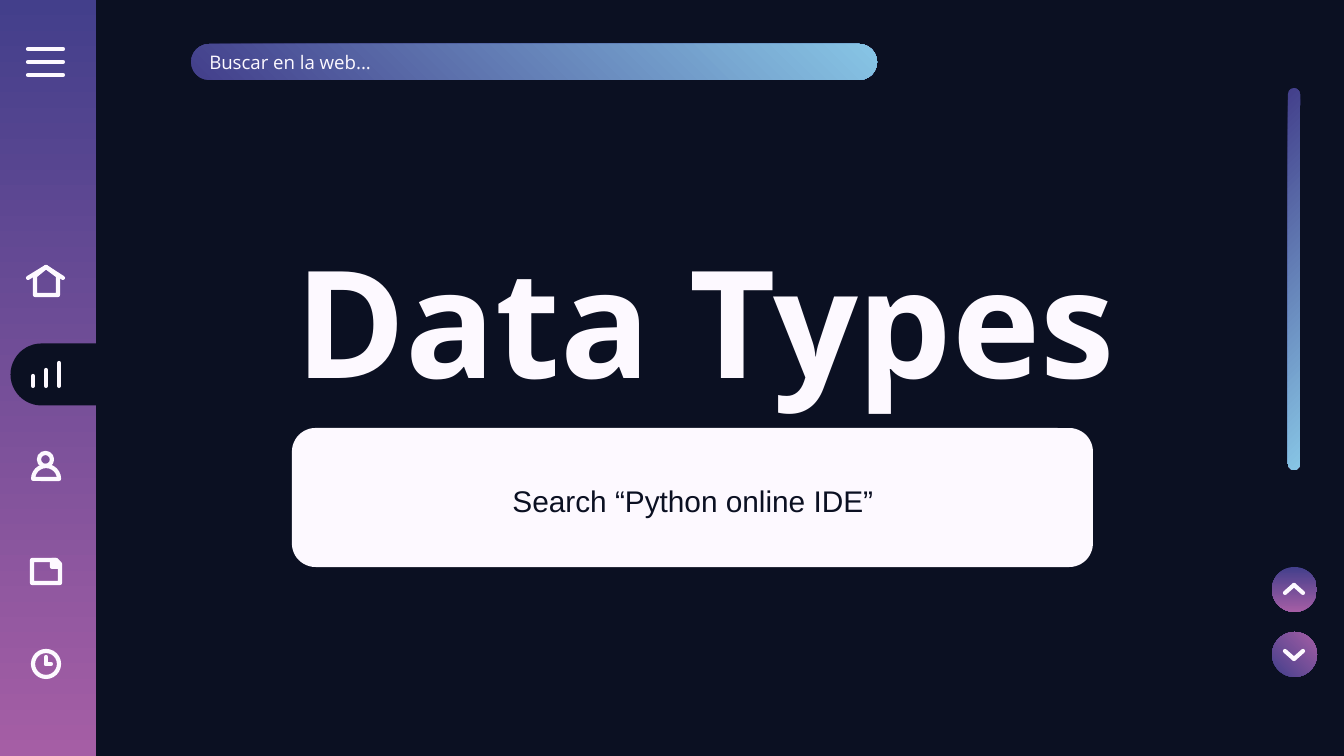
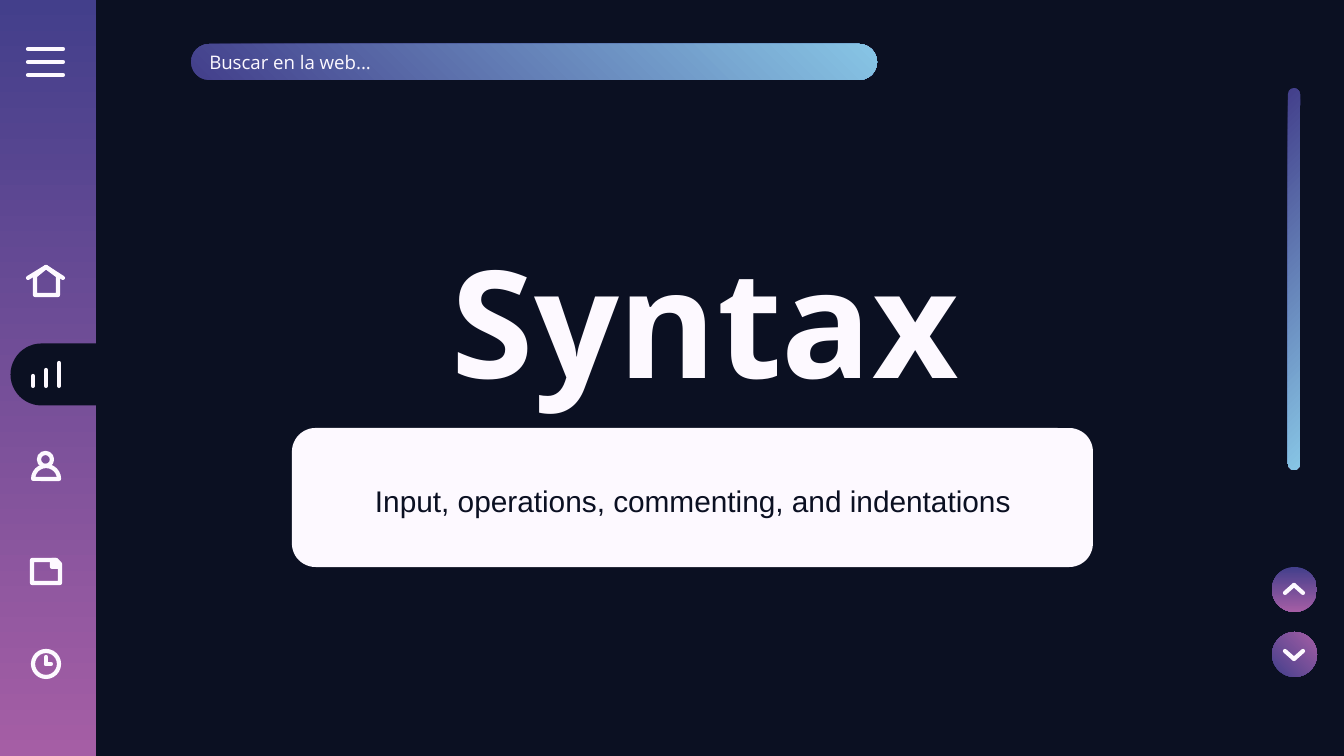
import pptx
import pptx.util
import pptx.dml.color
import pptx.enum.shapes
import pptx.enum.text
import pptx.oxml.ns
from lxml import etree

RGB = pptx.dml.color.RGBColor
KIND = pptx.enum.shapes.MSO_SHAPE
ALIGN = pptx.enum.text.PP_ALIGN

NIGHT = RGB(0x0B, 0x10, 0x22)
WHITE = RGB(0xFD, 0xF9, 0xFF)
INDIGO = RGB(0x43, 0x3F, 0x8B)
PURPLE = RGB(0xA5, 0x5E, 0xA5)
SKY = RGB(0x87, 0xC5, 0xE5)

UNIT = 914400 / 134.4  # EMU in one px
WIDE, HIGH = 1344, 756
INSET = 13
MID = 46  # centre of the sidebar icons

PAGES = [
    ("Data Types", "Search “Python online IDE”"),
    ("Syntax", "Input, operations, commenting, and indentations"),
]


def px(num):
    return pptx.util.Emu(round(num * UNIT))


# Fills and strokes
def tint(fill, color):
    """Fill with one colour, with (start, end, angle), or with nothing."""
    if color is None:
        fill.background()
    elif isinstance(color, RGB):
        fill.solid()
        fill.fore_color.rgb = color
    else:
        start, end, angle = color
        fill.gradient()
        fill.gradient_angle = angle
        for stop, shade in zip(fill.gradient_stops, (start, end)):
            stop.color.rgb = shade


def stroke(item):
    """Give an icon part its white line with round ends and corners."""
    item.line.width = pptx.util.Pt(2.25)
    item.line.fill.solid()
    item.line.fill.fore_color.rgb = WHITE
    ln = item._element.spPr.find(pptx.oxml.ns.qn("a:ln"))
    ln.set("cap", "rnd")
    etree.SubElement(ln, pptx.oxml.ns.qn("a:round"))


# Elements
def finish(item, fill, lined):
    item.shadow.inherit = False
    tint(item.fill, fill)
    if lined:
        stroke(item)
    else:
        item.line.fill.background()
    return item


def shape(shapes, kind, box, fill=None, lined=False, adj=(), turn=0):
    item = shapes.add_shape(kind, *map(px, box))
    for num, value in enumerate(adj):
        item.adjustments[num] = value
    item.rotation = turn
    return finish(item, fill, lined)


def outline(shapes, points, fill=None):
    pen = shapes.build_freeform(*points[0], scale=UNIT)
    pen.add_line_segments(points[1:], close=True)
    return finish(pen.convert_to_shape(), fill, True)


def line(shapes, start, end):
    item = shapes.add_connector(
        pptx.enum.shapes.MSO_CONNECTOR.STRAIGHT, *map(px, start + end))
    stroke(item)
    etree.SubElement(item._element.spPr, pptx.oxml.ns.qn("a:effectLst"))


def write(item, text, size, color=WHITE, font="Open Sans", bold=False,
          align=ALIGN.CENTER, space=None, after=None):
    frame = item.text_frame
    frame.word_wrap = True
    frame.vertical_anchor = pptx.enum.text.MSO_ANCHOR.MIDDLE
    frame.margin_left = frame.margin_right = px(INSET)
    frame.margin_top = frame.margin_bottom = px(INSET)
    para = frame.paragraphs[0]
    para.alignment = align
    para.line_spacing = space
    if after:
        para.space_after = pptx.util.Pt(after)
    run = para.add_run()
    run.text = text
    run.font.size = pptx.util.Pt(size)
    run.font.name = font
    run.font.bold = bold
    run.font.color.rgb = color


def label(slide, box, text, **style):
    write(slide.shapes.add_textbox(*map(px, box)), text, **style)


def group(slide):
    return slide.shapes.add_group_shape().shapes


# Sidebar icons
def menu(slide):
    part = group(slide)
    for y in (49, 62, 75):
        line(part, (28, y), (63, y))


def home(slide):
    part = group(slide)
    top = (MID, 267)
    for x in (28, 63):
        line(part, (x, 278), top)
    outline(part, [(35, 276), (35, 295), (58, 295), (58, 276), top])


def person(slide):
    part = group(slide)
    shape(part, KIND.OVAL, (39, 453, 13, 13), lined=True)
    shape(part, KIND.PIE, (33, 466, 26, 26), lined=True,
          adj=(54.33, 162), turn=90)


def clock(slide):
    part = group(slide)
    shape(part, KIND.OVAL, (33, 651, 26, 26), lined=True)
    for tip in ((MID, 657), (51, 664)):
        line(part, tip, (MID, 664))


def bars(slide):
    shape(slide.shapes, KIND.ROUND_2_SAME_RECTANGLE, (27, 327, 62, 95),
          NIGHT, adj=(0.5, 0), turn=270)
    part = group(slide)
    for x, top in ((33, 376), (MID, 370), (59, 363)):
        line(part, (x, top), (x, 386))


def note(slide):
    part = group(slide)
    shape(part, KIND.SNIP_1_RECTANGLE, (32, 560, 28, 23), lined=True,
          adj=(0.17,))
    outline(part, [(52, 560), (56, 560), (59, 564), (59, 567), (52, 567)],
            WHITE)


# Scroll buttons
def button(slide, top, tip, ends, angle, turn=0):
    shape(slide.shapes, KIND.OVAL, (1272, top, 45, 45),
          (INDIGO, PURPLE, angle), turn=turn)
    part = group(slide)
    for x in (1285, 1303):
        line(part, (1294, tip), (x, ends))


def base(slide):
    tint(slide.background.fill, NIGHT)
    shape(slide.shapes, KIND.RECTANGLE, (0, 0, 96, HIGH),
          (INDIGO, PURPLE, 270))
    shape(slide.shapes, KIND.ROUNDED_RECTANGLE, (1103, 273, 382, 12),
          (INDIGO, SKY, 45), adj=(0.5,), turn=90)
    bars(slide)
    for icon in (menu, home, person, note, clock):
        icon(slide)
    search = shape(slide.shapes, KIND.ROUNDED_RECTANGLE, (191, 44, 686, 36),
                   (INDIGO, SKY, 45), adj=(0.5,))
    write(search, "Buscar en la web...", size=10, align=ALIGN.LEFT)
    button(slide, 632, tip=659, ends=651, angle=225, turn=180)
    button(slide, 567, tip=585, ends=593, angle=270)


def main():
    deck = pptx.Presentation()
    deck.slide_width, deck.slide_height = px(WIDE), px(HIGH)
    for title, sub in PAGES:
        slide = deck.slides.add_slide(deck.slide_layouts[6])
        base(slide)
        shape(slide.shapes, KIND.ROUNDED_RECTANGLE, (292, 428, 801, 139),
              WHITE, adj=(0.17,))
        label(slide, (245, 226, 921, 185), title, size=80, bold=True)
        label(slide, (335, 428, 716, 139), sub, size=16, color=NIGHT,
              font="Arial", space=1.15, after=12)
    deck.save("out.pptx")


if __name__ == "__main__":
    main()
